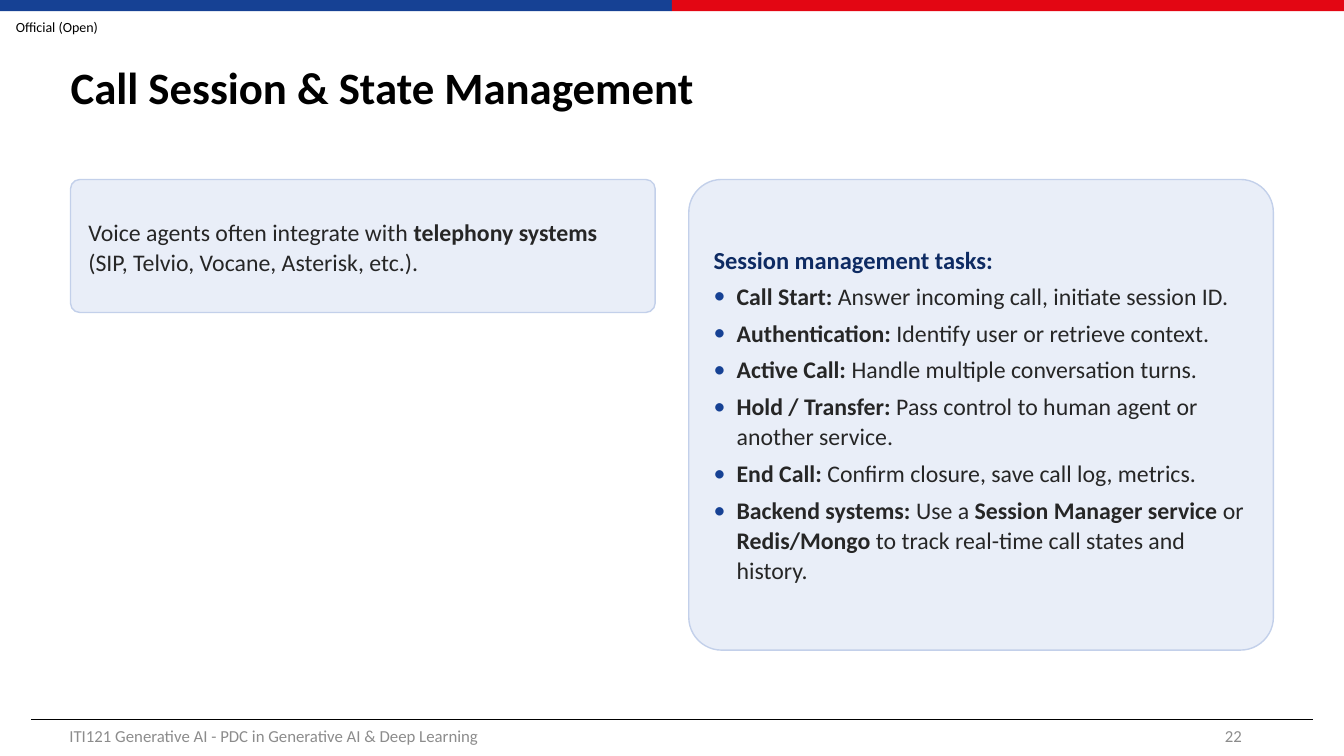
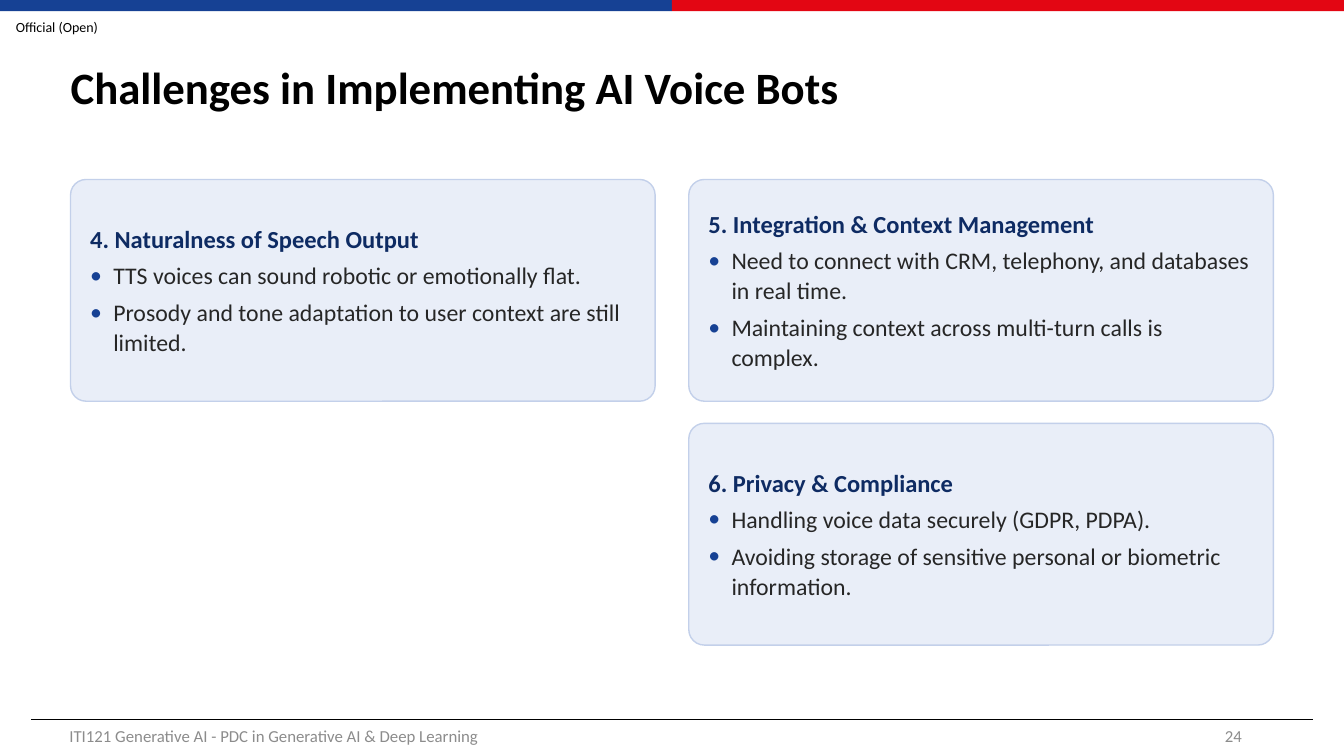
from lxml import etree
from pptx import Presentation
from pptx.dml.color import RGBColor
from pptx.enum.shapes import MSO_CONNECTOR, MSO_SHAPE
from pptx.enum.text import MSO_ANCHOR, MSO_AUTO_SIZE, PP_ALIGN
from pptx.oxml.ns import qn
from pptx.util import Pt

RECTANGLE, ROUNDED = MSO_SHAPE.RECTANGLE, MSO_SHAPE.ROUNDED_RECTANGLE
STRAIGHT = MSO_CONNECTOR.STRAIGHT
MIDDLE = MSO_ANCHOR.MIDDLE
NO_FIT = MSO_AUTO_SIZE.NONE
LEFT, CENTER, RIGHT = PP_ALIGN.LEFT, PP_ALIGN.CENTER, PP_ALIGN.RIGHT

FONT = "Calibri"
BLACK = RGBColor(0x00, 0x00, 0x00)
GREY = RGBColor(0x8C, 0x8C, 0x8C)
TEXT = RGBColor(0x26, 0x26, 0x26)
NAVY = RGBColor(0x0E, 0x2B, 0x63)
BLUE = RGBColor(0x16, 0x41, 0x94)
RED = RGBColor(0xE3, 0x06, 0x13)
CARD_FILL = RGBColor(0xE9, 0xEE, 0xF8)
CARD_LINE = RGBColor(0xC3, 0xD0, 0xEA)

PAGE_WIDTH, PAGE_HEIGHT = 960, 540
BAND_HEIGHT = 8
CARD_LEFT, CARD_TOP, CARD_WIDTH = 50.4, 128.2, 417.6
COLUMN_GAP, ROW_GAP = 24, 15.8
BULLET_INDENT = 16.5

CLASSIFICATION = "Official (Open)"
FOOTER = "ITI121 Generative AI - PDC in Generative AI & Deep Learning"

# Text between ** marks is bold.
SLIDES = [
    {
        "title": "Call Session & State Management",
        "number": "22",
        "cards": [
            {"column": 0, "row": 0, "height": 95,
             "body": "Voice agents often integrate with **telephony systems** "
                     "(SIP, Telvio, Vocane, Asterisk, etc.)."},
            {"column": 1, "row": 0, "height": 336.2,
             "heading": "Session management tasks:",
             "bullets": [
                 "**Call Start:** Answer incoming call, initiate session ID.",
                 "**Authentication:** Identify user or retrieve context.",
                 "**Active Call:** Handle multiple conversation turns.",
                 "**Hold / Transfer:** Pass control to human agent or another service.",
                 "**End Call:** Confirm closure, save call log, metrics.",
                 "**Backend systems: **Use a **Session Manager service** or "
                 "**Redis/Mongo** to track real-time call states and history.",
             ]},
        ],
    },
    {
        "title": "Challenges in Implementing AI Voice Bots",
        "number": "24",
        "cards": [
            {"column": 0, "row": 0, "height": 158.4,
             "heading": "4. Naturalness of Speech Output",
             "bullets": [
                 "TTS voices can sound robotic or emotionally flat.",
                 "Prosody and tone adaptation to user context are still limited.",
             ]},
            {"column": 1, "row": 0, "height": 158.4,
             "heading": "5. Integration & Context Management",
             "bullets": [
                 "Need to connect with CRM, telephony, and databases in real time.",
                 "Maintaining context across multi-turn calls is complex.",
             ]},
            {"column": 1, "row": 1, "height": 158.4,
             "heading": "6. Privacy & Compliance",
             "bullets": [
                 "Handling voice data securely (GDPR, PDPA).",
                 "Avoiding storage of sensitive personal or biometric information.",
             ]},
        ],
    },
]


def add_runs(para, text, size, color, bold=False):
    for index, part in enumerate(text.split("**")):
        if part:
            span = para.add_run()
            span.text = part
            span.font.name = FONT
            span.font.size = Pt(size)
            span.font.color.rgb = color
            span.font.bold = bold or index % 2 == 1


def add_label(page, text, left, top, width, height, size, color, align, margin=None):
    box = page.shapes.add_textbox(Pt(left), Pt(top), Pt(width), Pt(height))
    frame = box.text_frame
    frame.word_wrap = True
    frame.vertical_anchor = MIDDLE
    if margin is not None:
        frame.margin_left = frame.margin_right = Pt(margin)
        frame.margin_top = frame.margin_bottom = Pt(margin)
    frame.paragraphs[0].alignment = align
    add_runs(frame.paragraphs[0], text, size, color)


def add_block(page, kind, left, top, width, height, fill):
    block = page.shapes.add_shape(kind, Pt(left), Pt(top), Pt(width), Pt(height))
    block.shadow.inherit = False
    block.fill.solid()
    block.fill.fore_color.rgb = fill
    block.line.fill.background()
    return block


def add_frame(page, number):
    add_label(page, CLASSIFICATION, 0, 8.6, 81.4, 20.9, 10, BLACK, CENTER, 0)
    half = PAGE_WIDTH / 2
    for index, color in enumerate((BLUE, RED)):
        add_block(page, RECTANGLE, index * half, 0, half, BAND_HEIGHT, color)
    rule = page.shapes.add_connector(STRAIGHT, Pt(22.3), Pt(514), Pt(938), Pt(514))
    rule.line.color.rgb = BLACK
    rule.line.width = Pt(0.5)
    etree.SubElement(rule._element.spPr, qn("a:effectLst"))
    add_label(page, FOOTER, 42.5, 511.2, 324, 28.8, 12, GREY, LEFT)
    add_label(page, number, 678.2, 511.2, 216, 28.8, 12, GREY, RIGHT)


def set_title(page, text):
    title = page.shapes.title
    title.left, title.top = Pt(43.2), Pt(21.6)
    title.width, title.height = Pt(870), Pt(85)
    frame = title.text_frame
    frame.auto_size = NO_FIT
    frame.vertical_anchor = MIDDLE
    para = frame.paragraphs[0]
    para.alignment = LEFT
    para.line_spacing = 0.9
    add_runs(para, text, 32, BLACK, bold=True)


def add_bullet(para):
    props = para._p.get_or_add_pPr()
    props.set("marL", str(Pt(BULLET_INDENT)))
    props.set("indent", str(-Pt(BULLET_INDENT)))
    color = etree.SubElement(props, qn("a:buClr"))
    etree.SubElement(color, qn("a:srgbClr"), val=str(BLUE))
    etree.SubElement(props, qn("a:buFont"), typeface=FONT)
    etree.SubElement(props, qn("a:buChar"), char="•")


def add_card(page, card):
    height = card["height"]
    left = CARD_LEFT + card["column"] * (CARD_WIDTH + COLUMN_GAP)
    top = CARD_TOP + card["row"] * (height + ROW_GAP)
    box = add_block(page, ROUNDED, left, top, CARD_WIDTH, height, CARD_FILL)
    box.adjustments[0] = 0.07
    box.line.color.rgb = CARD_LINE
    box.line.width = Pt(1)
    frame = box.text_frame
    frame.word_wrap = True
    frame.vertical_anchor = MIDDLE
    frame.margin_left = frame.margin_right = Pt(10.8)
    frame.margin_top = frame.margin_bottom = Pt(7.2)
    para = frame.paragraphs[0]
    para.alignment = LEFT
    if "body" in card:
        para.line_spacing = 1.05
        para.space_after = Pt(5)
        add_runs(para, card["body"], 17, TEXT)
        return
    para.space_after = Pt(4)
    add_runs(para, card["heading"], 17.5, NAVY, bold=True)
    for text in card["bullets"]:
        para = frame.add_paragraph()
        add_bullet(para)
        para.alignment = LEFT
        para.line_spacing = 1.05
        para.space_after = Pt(5)
        add_runs(para, text, 17, TEXT)


def main():
    deck = Presentation()
    deck.slide_width, deck.slide_height = Pt(PAGE_WIDTH), Pt(PAGE_HEIGHT)
    title_only = deck.slide_layouts[5]
    for content in SLIDES:
        page = deck.slides.add_slide(title_only)
        add_frame(page, content["number"])
        set_title(page, content["title"])
        for card in content["cards"]:
            add_card(page, card)
    deck.save("out.pptx")


if __name__ == "__main__":
    main()
